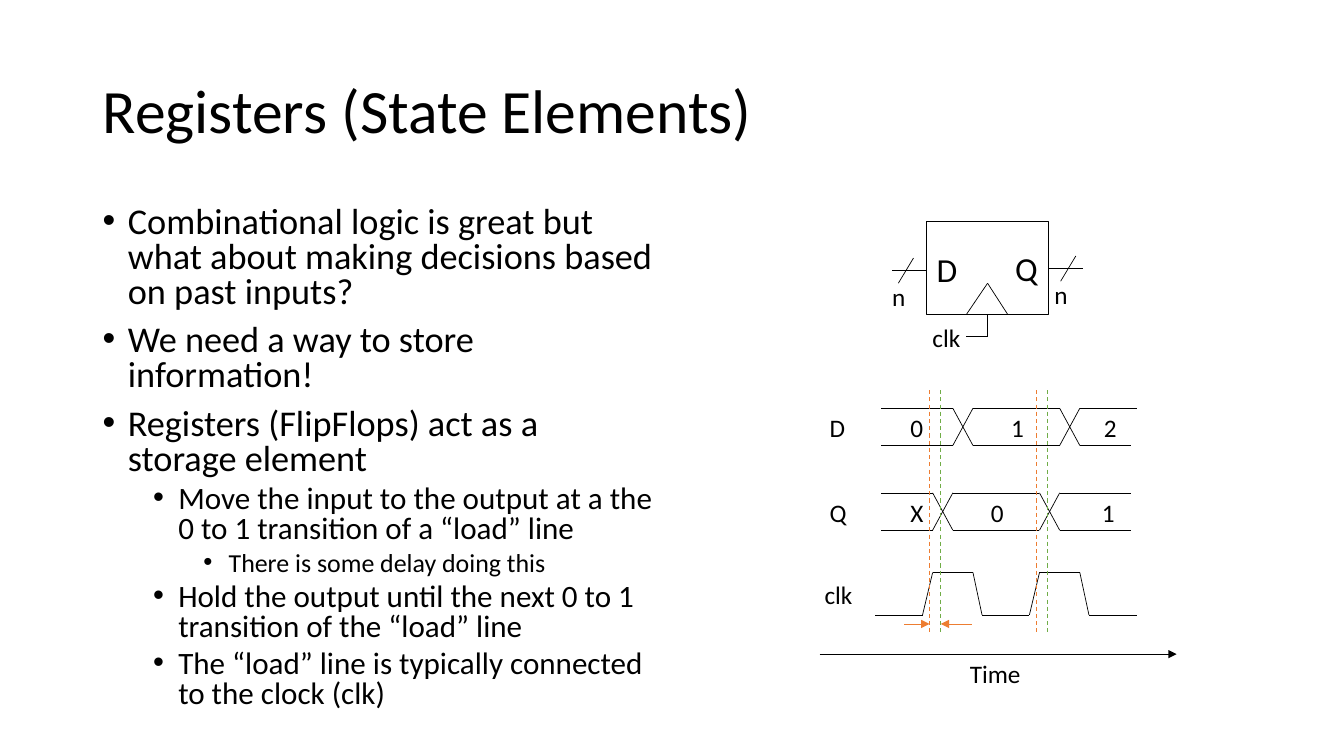
from itertools import pairwise

from lxml import etree
from pptx import Presentation
from pptx.dml.color import RGBColor
from pptx.enum.dml import MSO_LINE
from pptx.enum.shapes import MSO_CONNECTOR, MSO_SHAPE
from pptx.enum.text import MSO_ANCHOR, MSO_AUTO_SIZE, PP_ALIGN
from pptx.oxml.ns import qn
from pptx.util import Inches, Pt

STRAIGHT = MSO_CONNECTOR.STRAIGHT
RECTANGLE = MSO_SHAPE.RECTANGLE
DASH = MSO_LINE.DASH
MIDDLE = MSO_ANCHOR.MIDDLE
LEFT = PP_ALIGN.LEFT
NO_FIT = MSO_AUTO_SIZE.NONE

FONT = "Calibri"
BLACK, WHITE, ORANGE, GREEN = "000000", "FFFFFF", "ED7D31", "70AD47"
PERIOD = 1.06  # one clock cycle, in inches

# Size, left indent and space before for each bullet level
LEVELS = [(25.9, 0.25, 10), (22.2, 0.75, 5), (18.5, 1.25, 5)]
BULLETS = [
    (0, "Combinational logic is great but what about making decisions based on past inputs?"),
    (0, "We need a way to store information!"),
    (0, "Registers (FlipFlops) act as a storage element"),
    (1, "Move the input to the output at a the 0 to 1 transition of a “load” line"),
    (2, "There is some delay doing this"),
    (1, "Hold the output until the next 0 to 1 transition of the “load” line"),
    (1, "The “load” line is typically connected to the clock (clk)"),
]


def color(value):
    return RGBColor.from_string(value)


def add_span(para, text, size):
    span = para.add_run()
    span.text = text
    span.font.name = FONT
    span.font.size = Pt(size)
    span.font.color.rgb = color(BLACK)


def add_label(page, left, top, width, text, size=18):
    height = 0.5 if size > 18 else 0.4
    box = page.shapes.add_textbox(Inches(left), Inches(top), Inches(width), Inches(height))
    box.text_frame.word_wrap = False
    add_span(box.text_frame.paragraphs[0], text, size)


def add_line(page, start, end, shade=BLACK, width=0.5, dashed=False, arrow=False):
    line = page.shapes.add_connector(STRAIGHT, *(Inches(v) for v in (*start, *end)))
    line.line.color.rgb = color(shade)
    line.line.width = Pt(width)
    if dashed:
        line.line.dash_style = DASH
    if arrow:
        outline = line.line._get_or_add_ln()
        etree.SubElement(outline, qn("a:tailEnd"), type="triangle")
    etree.SubElement(line._element.spPr, qn("a:effectLst"))


def add_path(page, points):
    for start, end in pairwise(points):
        add_line(page, start, end)


def add_title(page, left, top, width, height):
    title = page.shapes.title
    title.left, title.top = Inches(left), Inches(top)
    title.width, title.height = Inches(width), Inches(height)
    frame = title.text_frame
    frame.auto_size = NO_FIT
    frame.vertical_anchor = MIDDLE
    para = frame.paragraphs[0]
    para.alignment = LEFT
    para.line_spacing = 0.9
    add_span(para, "Registers (State Elements)", 44)


def add_bullets(page, left, top, width, height):
    box = page.shapes.add_textbox(Inches(left), Inches(top), Inches(width), Inches(height))
    frame = box.text_frame
    frame.word_wrap = True
    for index, (level, text) in enumerate(BULLETS):
        size, indent, space = LEVELS[level]
        para = frame.add_paragraph() if index else frame.paragraphs[0]
        props = para._p.get_or_add_pPr()
        props.set("marL", str(Inches(indent)))
        props.set("indent", str(-Inches(0.25)))
        etree.SubElement(props, qn("a:buFont"), typeface="Arial")
        etree.SubElement(props, qn("a:buChar"), char="•")
        para.level = level
        para.line_spacing = 0.8
        para.space_before = Pt(space if index else 0)
        add_span(para, text, size)


def add_register(page, left, top, width, height):
    right, bottom, middle = left + width, top + height, left + width / 2
    body = page.shapes.add_shape(
        RECTANGLE, Inches(left), Inches(top), Inches(width), Inches(height))
    body.shadow.inherit = False
    body.fill.solid()
    body.fill.fore_color.rgb = color(WHITE)
    body.line.color.rgb = color(BLACK)
    body.line.width = Pt(1)
    add_label(page, left, top + 0.22, 0.41, "D", 24)
    add_label(page, right - 0.43, top + 0.21, 0.43, "Q", 24)

    # Clock input
    add_path(page, [(middle - 0.21, bottom), (middle, bottom - 0.31), (middle + 0.2, bottom)])
    add_path(page, [(middle - 0.21, bottom + 0.22), (middle, bottom + 0.22), (middle, bottom)])
    add_label(page, left - 0.04, bottom + 0.03, 0.48, "clk")

    # Input and output buses, each with its width mark
    for start, wire, slash, name in ((left - 0.34, top + 0.48, 0.06, left - 0.44),
                                     (right, top + 0.46, 0.12, right - 0.04)):
        add_line(page, (start, wire), (start + 0.34, wire))
        add_line(page, (start + slash, wire + 0.13), (start + slash + 0.15, wire - 0.12))
        add_label(page, name, wire + 0.06, 0.34, "n")


def add_bus(page, left, top, name, crossings, ends, values):
    bottom, slant = top + 0.37, 0.2
    add_label(page, left, top - 0.01, 0.37, name)
    starts = [0.61] + [x + slant for x in crossings]
    for level, last in zip((top, bottom), ends):
        for start, end in zip(starts, crossings + [last]):
            add_line(page, (left + start, level), (left + end, level))
    for x in crossings:
        add_line(page, (left + x, top), (left + x + slant, bottom))
        add_line(page, (left + x, bottom), (left + x + slant, top))
    for x, value in values:
        add_label(page, left + x, top - 0.01, 0.33, value)


def add_clock(page, left, top):
    low = top + 0.42
    add_label(page, left - 0.05, top + 0.02, 0.48, "clk")
    points = [(left + 0.55, low)]
    for cycle in range(2):
        rise = left + 1.02 + cycle * PERIOD
        points += [(rise, low), (rise + 0.1, top), (rise + 0.5, top), (rise + 0.59, low)]
    points.append((left + 3.15, low))
    add_path(page, points)


def add_timing(page, left, top, width, height):
    # Signals
    add_bus(page, left, top + 0.18, "D", [1.32, 2.38], (3.15, 3.09),
            [(0.8, "0"), (1.8, "1"), (2.72, "2")])
    add_bus(page, left, top + 1.02, "Q", [1.12, 2.18], (3.09, 3.09),
            [(0.8, "X"), (1.6, "0"), (2.7, "1")])
    add_clock(page, left, top + 1.81)

    # Clock edges and the delayed output changes
    edge, change = left + 1.09, left + 1.2
    for cycle in range(2):
        for x, shade in ((edge, ORANGE), (change, GREEN)):
            x += cycle * PERIOD
            add_line(page, (x, top), (x, top + 2.4), shade, 0.75, dashed=True)
    for start, end in ((edge - 0.25, edge), (change + 0.31, change)):
        add_line(page, (start, top + 2.32), (end, top + 2.32), ORANGE, arrow=True)

    # Time axis
    axis = top + height
    add_line(page, (left, axis), (left + width, axis), arrow=True)
    add_label(page, left + 1.39, axis - 0.01, 0.71, "Time")


def main():
    deck = Presentation()
    deck.slide_width, deck.slide_height = Inches(13.33), Inches(7.5)
    page = deck.slides.add_slide(deck.slide_layouts[5])
    add_title(page, 0.92, 0.4, 11.5, 1.45)
    add_bullets(page, 0.92, 2, 5.67, 5.21)
    add_register(page, 9.19, 2.2, 1.21, 0.92)
    add_timing(page, 8.13, 3.87, 3.54, 2.62)
    deck.save("out.pptx")


if __name__ == "__main__":
    main()
